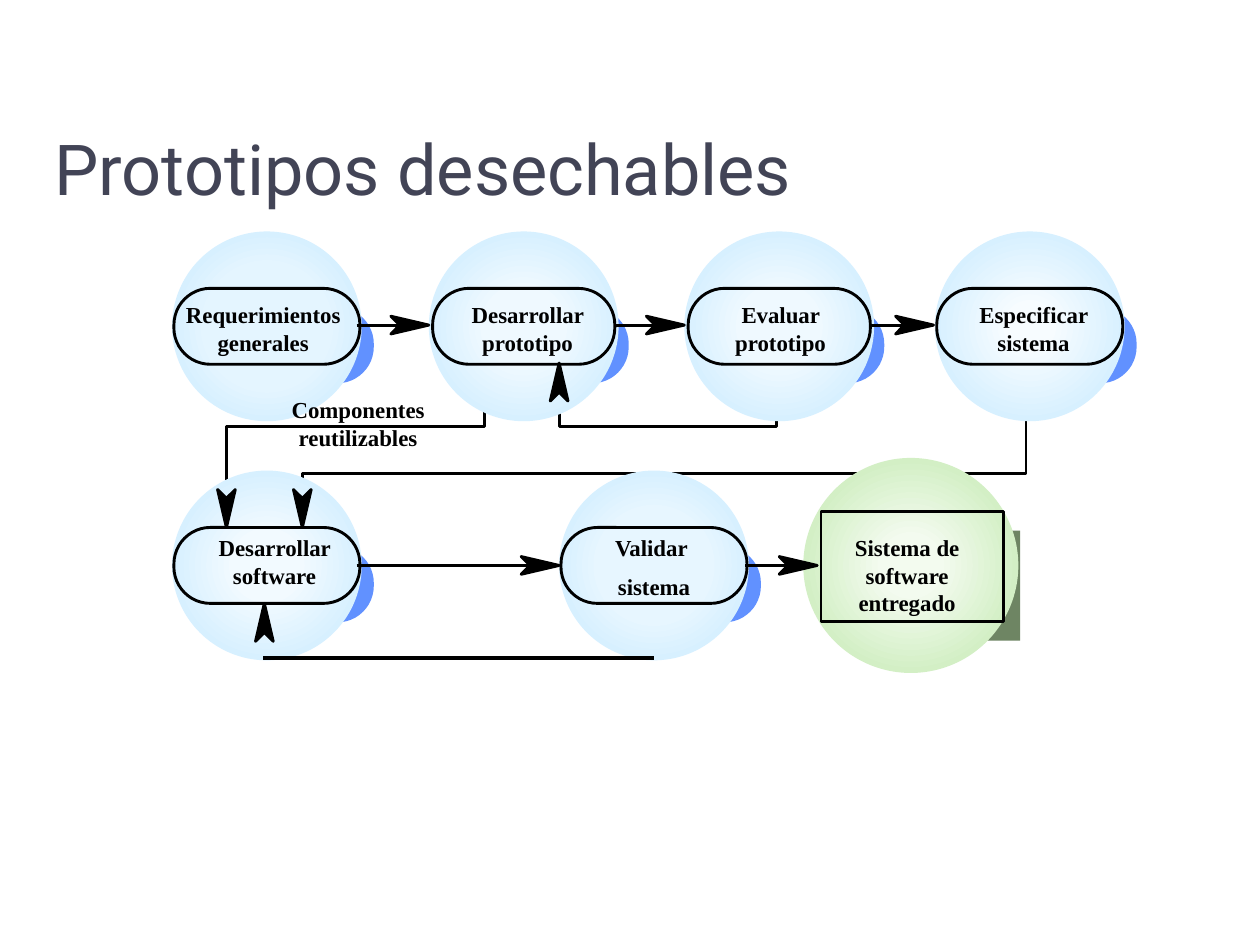
"""Build the slide on throwaway prototypes: a flow of glowing steps."""
from lxml import etree
from pptx import Presentation
from pptx import util as u
from pptx.dml import color
from pptx.enum import shapes, text
from pptx.oxml import ns

BLACK = "000000"
BLUE_GLOW = ("D7F0FF", "F7FCFF", 13)
GREEN_GLOW = ("D3EFC5", "F3FBEF", 14)
STROKE = 1.63
RING_STEP = 0.09
PILL_H = 0.6
TOP_ROW, BOTTOM_ROW = 2.58, 4.47
LABEL_FONT = {"name": "Times New Roman", "size": u.Pt(13), "bold": True}
TITLE_FONT = {"name": "Roboto", "size": u.Pt(40), "bold": False}
STEPS = [
    (2.11, TOP_ROW, 1.47, 6), (4.14, TOP_ROW, 1.44, 10),
    (6.16, TOP_ROW, 1.44, 10), (8.14, TOP_ROW, 1.47, 13),
    (2.11, BOTTOM_ROW, 1.47, 11), (5.17, BOTTOM_ROW, 1.47, 7),
]
ROUTES = [
    [(3.83, 2.57), (3.83, 3.37), (1.79, 3.37), (1.79, 3.99)],
    [(4.42, 3.01), (4.42, 3.37), (6.14, 3.37), (6.14, 2.57)],
    [(2.39, 3.99), (2.39, 3.74), (8.11, 3.74), (8.11, 2.57)],
    [(5.15, 4.47), (5.15, 5.2), (2.09, 5.2), (2.09, 4.95)],
]
ARROWS = [(2.82, 3.39, 2.57), (4.86, 5.41, 2.57), (6.87, 7.38, 2.57),
          (2.82, 4.42, 4.47), (5.89, 6.46, 4.47)]
VERTICAL_HEADS = [(2.09, 4.77, -1), (1.79, 4.17, 1),
                  (2.39, 4.17, 1), (4.42, 2.87, -1)]
LABELS = [
    (1.33, 2.33, ["Requerimientos generales"]),
    (3.42, 2.33, ["Desarrollar prototipo"]),
    (5.42, 2.33, ["Evaluar prototipo"]),
    (7.42, 2.33, ["Especificar sistema"]),
    (6.42, 4.17, ["Sistema de software entregado"]),
    (4.42, 4.17, ["Validar ", "sistema"]),
    (1.42, 4.17, ["Desarrollar software"]),
    (2.08, 3.08, ["Componentes reutilizables"]),
]


def rgb(value):
    """Turn a hex string into a colour."""
    return color.RGBColor.from_string(value)


def blend(start, end, share):
    """Mix two hex colours."""
    pairs = [(int(start[i:i + 2], 16), int(end[i:i + 2], 16)) for i in (0, 2, 4)]
    return "".join(f"{round(a + (b - a) * share):02X}" for a, b in pairs)


def paint(sp, fill=None, line=None):
    """Set fill and outline and drop the shadow."""
    sp.shadow.inherit = False
    if fill:
        sp.fill.solid()
        sp.fill.fore_color.rgb = rgb(fill)
    else:
        sp.fill.background()
    if line:
        sp.line.color.rgb = rgb(line)
        sp.line.width = u.Pt(STROKE)
    else:
        sp.line.fill.background()


def add_centred(s, kind, cx, cy, w, h, **colours):
    """Add a preset shape around a centre point."""
    sp = s.shapes.add_shape(kind, u.Inches(cx - w / 2), u.Inches(cy - h / 2),
                            u.Inches(w), u.Inches(h))
    paint(sp, **colours)
    return sp


def add_pill(s, cx, cy, w, **colours):
    """Add a fully rounded rectangle."""
    sp = add_centred(s, shapes.MSO_SHAPE.ROUNDED_RECTANGLE, cx, cy, w, PILL_H, **colours)
    sp.adjustments[0] = 0.48


def add_glow(s, cx, cy, size, rings, ramp):
    """Stack ever smaller and lighter discs."""
    start, end, steps = ramp
    for i in range(rings):
        d = size - i * RING_STEP
        add_centred(s, shapes.MSO_SHAPE.OVAL, cx, cy, d, d,
                    fill=blend(start, end, i / (steps - 1)))


def add_path(s, points, closed=False, fill=None):
    """Draw a black polyline or polygon."""
    pts = [(u.Inches(x), u.Inches(y)) for x, y in points]
    builder = s.shapes.build_freeform(*pts[0])
    builder.add_line_segments(pts[1:], close=closed)
    paint(builder.convert_to_shape(), fill=fill, line=BLACK)


def add_head(s, x, y, dx, dy):
    """Draw a notched arrowhead with its tip at x, y."""
    outline = [(-0.23, 0), (-0.3, -0.07), (0, 0), (-0.3, 0.07)]
    add_path(s, [(x + a * dx - b * dy, y + a * dy + b * dx) for a, b in outline],
             closed=True, fill=BLACK)


def add_line(s, x1, x2, y, width=STROKE):
    """Draw a level black line."""
    c = s.shapes.add_connector(shapes.MSO_CONNECTOR.STRAIGHT, u.Inches(x1),
                               u.Inches(y), u.Inches(x2), u.Inches(y))
    c.line.color.rgb = rgb(BLACK)
    c.line.width = u.Pt(width)
    etree.SubElement(c._element.spPr, ns.qn("a:effectLst"))


def add_run(p, words, font, colour):
    """Add a formatted run to a paragraph."""
    r = p.add_run()
    r.text = words
    for key, value in font.items():
        setattr(r.font, key, value)
    r.font.color.rgb = rgb(colour)


def add_label(s, x, y, lines):
    """Add a centred bold caption."""
    tf = s.shapes.add_textbox(u.Inches(x), u.Inches(y), u.Inches(1.5),
                              u.Inches(0.53)).text_frame
    tf.word_wrap = True
    for i, words in enumerate(lines):
        p = tf.add_paragraph() if i else tf.paragraphs[0]
        p.alignment = text.PP_ALIGN.CENTER
        p.space_before = u.Pt(6.5 if i else 0)
        add_run(p, words, LABEL_FONT, BLACK)


def add_title(s, words):
    """Place and fill the title placeholder."""
    sp = s.shapes.title
    box = {"left": 0.33, "top": 0.74, "width": 8.96, "height": 1.16}
    for key, value in box.items():
        setattr(sp, key, u.Inches(value))
    tf = sp.text_frame
    tf.vertical_anchor = text.MSO_ANCHOR.MIDDLE
    p = tf.paragraphs[0]
    p.alignment = text.PP_ALIGN.LEFT
    add_run(p, words, TITLE_FONT, "424456")


def main():
    """Build and save the slide."""
    prs = Presentation()
    prs.slide_width, prs.slide_height = u.Inches(9.96), u.Inches(7.47)
    s = prs.slides.add_slide(prs.slide_layouts[5])
    add_title(s, "Prototipos desechables")
    for cx, cy, w, _ in STEPS:
        add_pill(s, cx + 0.11, cy + 0.15, w, fill="6191FF")
    rect = shapes.MSO_SHAPE.RECTANGLE
    add_centred(s, rect, 7.33, 4.63, 1.47, 0.87, fill="6E8563")
    for points in ROUTES:
        add_path(s, points)
    for cx, cy, w, rings in STEPS:
        add_glow(s, cx, cy, 1.5, rings, BLUE_GLOW)
        add_pill(s, cx, cy, w, line=BLACK)
    add_glow(s, 7.2, BOTTOM_ROW, 1.7, 14, GREEN_GLOW)
    add_centred(s, rect, 7.21, 4.48, 1.44, 0.87, line=BLACK)
    for start, tip, y in ARROWS:
        add_head(s, tip, y, 1, 0)
        add_line(s, start, tip - 0.18, y)
    for x, y, dy in VERTICAL_HEADS:
        add_head(s, x, y, 0, dy)
    add_line(s, 2.08, 5.17, 5.2, width=2)
    for label in LABELS:
        add_label(s, *label)
    prs.save("out.pptx")


main()
